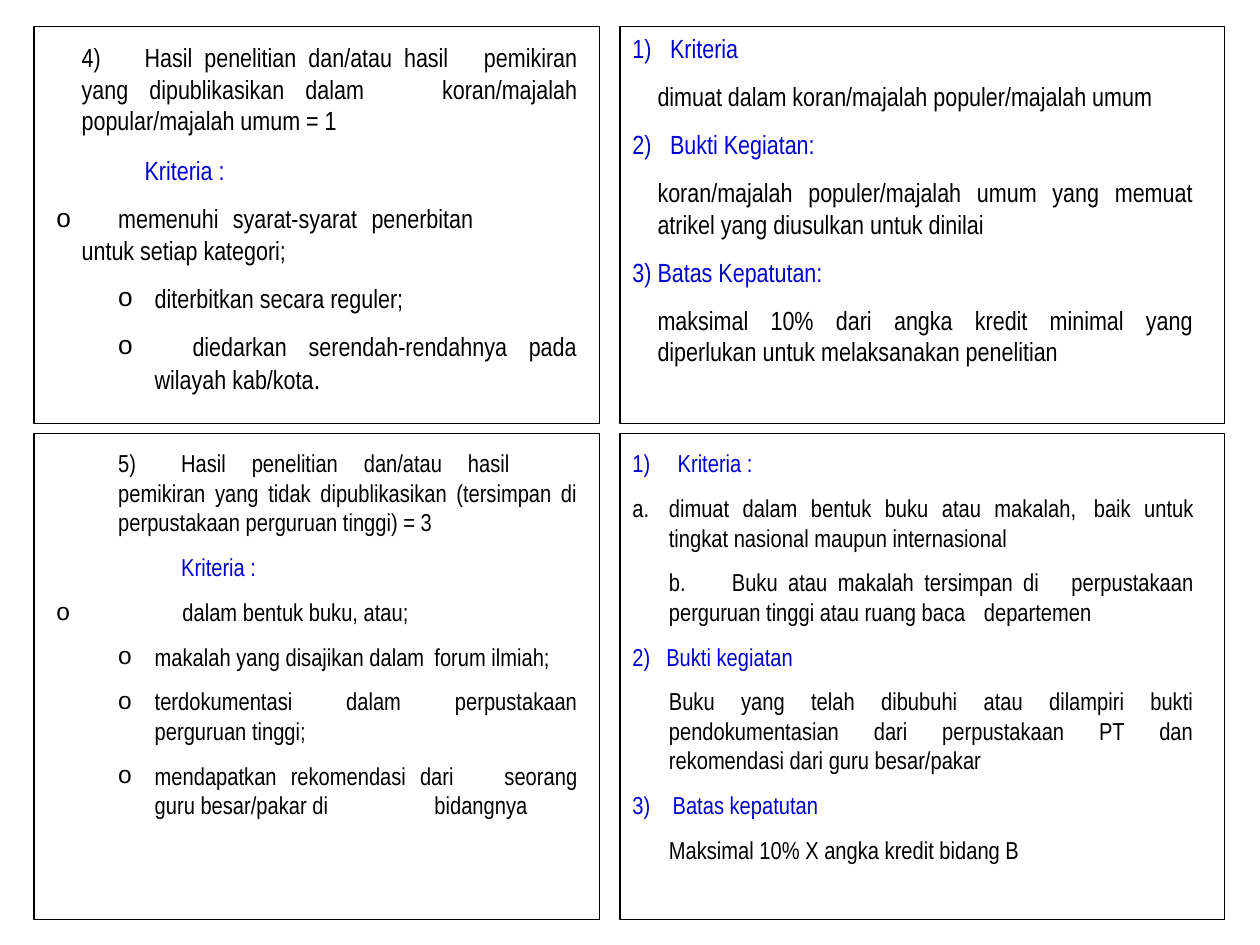
from dataclasses import dataclass
from lxml import etree
from pptx import Presentation
from pptx.dml.color import RGBColor
from pptx.enum.shapes import MSO_SHAPE
from pptx.enum.text import MSO_ANCHOR, MSO_AUTO_SIZE, PP_ALIGN
from pptx.oxml.ns import qn
from pptx.util import Inches, Pt

RECT = MSO_SHAPE.RECTANGLE
TOP = MSO_ANCHOR.TOP
GROW = MSO_AUTO_SIZE.SHAPE_TO_FIT_TEXT
JUST = PP_ALIGN.JUSTIFY


@dataclass(frozen=True)
class Theme:
    font: str = "Arial Narrow"
    mark: str = "Arial"
    ink: RGBColor = RGBColor(0, 0, 0)
    head: RGBColor = RGBColor(0, 0, 0xCC)
    paper: RGBColor = RGBColor(255, 255, 255)
    large: float = 15
    small: float = 14
    big: float = 16
    rule: float = 0.75


THEME = Theme()


@dataclass(frozen=True)
class Line:
    text: str
    hang: float
    tabs: tuple
    left: float = 0
    head: bool = False
    dot: bool = False


def add_tag(props, name, **attrs):
    return etree.SubElement(props, qn(name), **attrs)


def set_para(para, line):
    props = para._p.get_or_add_pPr()
    props.set("marL", str(Inches(line.left or line.hang)))
    props.set("indent", str(-Inches(line.hang)))
    if line.left:
        para.level = 1
    if line.dot:
        tint = add_tag(props, "a:buClr")
        add_tag(tint, "a:srgbClr", val=str(THEME.ink))
        add_tag(props, "a:buFont", typeface=THEME.mark)
        add_tag(props, "a:buChar", char="o")
    else:
        add_tag(props, "a:buNone")
    stops = add_tag(props, "a:tabLst")
    for pos in line.tabs:
        add_tag(stops, "a:tab", pos=str(Inches(pos)), algn="l")


def add_text(slide, box, lines, size, gap):
    shape = slide.shapes.add_textbox(*map(Inches, box))
    frame = shape.text_frame
    frame.word_wrap = True
    frame.auto_size = GROW
    frame.vertical_anchor = TOP
    for i, line in enumerate(lines):
        para = frame.add_paragraph() if i else frame.paragraphs[0]
        para.alignment = JUST
        if i:
            para.space_before = Pt(gap)
        set_para(para, line)
        for k, part in enumerate(line.text.split("|")):
            if not part:
                continue
            run = para.add_run()
            run.text = part
            run.font.name = THEME.font
            run.font.size = Pt(THEME.big if k % 2 else size)
            run.font.color.rgb = THEME.head if line.head else THEME.ink


def add_panel(slide, box, inset, lines, size, gap):
    left, top, width, height = box
    dx, dy, wide, high = inset
    rect = slide.shapes.add_shape(RECT, *map(Inches, box))
    rect.shadow.inherit = False
    rect.fill.solid()
    rect.fill.fore_color.rgb = THEME.paper
    rect.line.color.rgb = THEME.ink
    rect.line.width = Pt(THEME.rule)
    add_text(slide, (left + dx, top + dy, wide, high), lines, size, gap)


def popular(slide, box):
    plain = (0, 0.49, 1.08, 2, 3, 4, 5, 6)
    dots = (0.49, 1.08, 2, 3, 4, 5, 6, 7)
    lines = [
        Line("\t4)\tHasil penelitian dan/atau hasil \tpemikiran yang dipublikasikan dalam "
             "\tkoran/majalah popular/majalah umum = 1", 0.2, plain),
        Line("|\t\t|Kriteria :", 0.2, plain, head=True),
        Line("\tmemenuhi syarat-syarat penerbitan \tuntuk setiap kategori;", 0.2, dots, dot=True),
        Line("diterbitkan secara reguler;", 0.29, dots, 0.78, dot=True),
        Line("\tdiedarkan serendah-rendahnya pada wilayah kab/kota|.", 0.29, dots, 0.78, dot=True),
    ]
    add_panel(slide, box, (0.08, 0.07, 4.33, 3.42), lines, THEME.large, 9.4)


def proof(slide, box):
    tabs = (0, 0.78, 1.18, 2, 3, 4, 5, 6)
    lines = [
        Line("1)\tKriteria", 0.3, tabs, head=True),
        Line("\tdimuat dalam koran/majalah populer/majalah umum", 0.2, tabs),
        Line("2)\tBukti Kegiatan:", 0.3, tabs, head=True),
        Line("\tkoran/majalah populer/majalah umum yang memuat atrikel yang diusulkan "
             "untuk dinilai", 0.2, tabs),
        Line("3)\tBatas Kepatutan:", 0.2, tabs, head=True),
        Line("\tmaksimal 10% dari angka kredit minimal yang diperlukan untuk "
             "melaksanakan penelitian", 0.2, tabs),
    ]
    add_panel(slide, box, (0, 0, 4.65, 3.88), lines, THEME.large, 9.4)


def stored(slide, box):
    plain = (0, 0.2, 0.49, 1, 2, 3, 4, 5)
    dots = (0.2, 0.49, 1, 2, 3, 4, 5, 6)
    lines = [
        Line("\t5)\tHasil penelitian dan/atau hasil \tpemikiran yang tidak dipublikasikan "
             "(tersimpan di perpustakaan perguruan tinggi) = 3", 0.49, plain),
        Line("\t\tKriteria :", 0.49, plain, head=True),
        Line("\tdalam bentuk buku, atau;", 0.49, dots, dot=True),
    ]
    lines += [Line(text, 0.29, dots, 0.78, dot=True) for text in (
        "makalah yang disajikan dalam \tforum ilmiah;",
        "terdokumentasi dalam perpustakaan perguruan tinggi;",
        "mendapatkan rekomendasi dari \tseorang guru besar/pakar di \tbidangnya",
    )]
    add_panel(slide, box, (0.08, 0.07, 4.33, 3.51), lines, THEME.small, 8.8)


def archive(slide, box):
    tabs = (0, 0.88, 1, 2, 3, 4, 5, 6)
    lines = [
        Line("1)\tKriteria :", 0.36, tabs, head=True),
        Line("a.\tdimuat dalam bentuk buku atau makalah, \tbaik untuk tingkat nasional "
             "maupun internasional", 0.29, tabs),
        Line("\tb.\tBuku atau makalah tersimpan di \tperpustakaan perguruan tinggi atau "
             "ruang baca \tdepartemen", 0.29, tabs),
        Line("2)\tBukti kegiatan", 0.27, tabs, head=True),
        Line("\tBuku yang telah dibubuhi atau dilampiri bukti pendokumentasian dari "
             "perpustakaan PT dan rekomendasi dari guru besar/pakar", 0.29, tabs),
        Line("3)\tBatas kepatutan", 0.32, tabs, head=True),
        Line("\tMaksimal 10% X angka kredit bidang B", 0.29, tabs),
    ]
    add_panel(slide, box, (0, 0.07, 4.65, 3.87), lines, THEME.small, 8.8)


def main():
    deck = Presentation()
    deck.slide_width, deck.slide_height = Inches(10), Inches(7.5)
    slide = deck.slides.add_slide(deck.slide_layouts[6])
    cols = ((0.27, 4.49), (4.92, 4.8))
    rows = ((0.21, 3.15), (3.44, 3.86))
    grid = ((popular, proof), (stored, archive))
    for (top, height), row in zip(rows, grid):
        for (left, width), draw in zip(cols, row):
            draw(slide, (left, top, width, height))
    deck.save("out.pptx")


if __name__ == "__main__":
    main()
